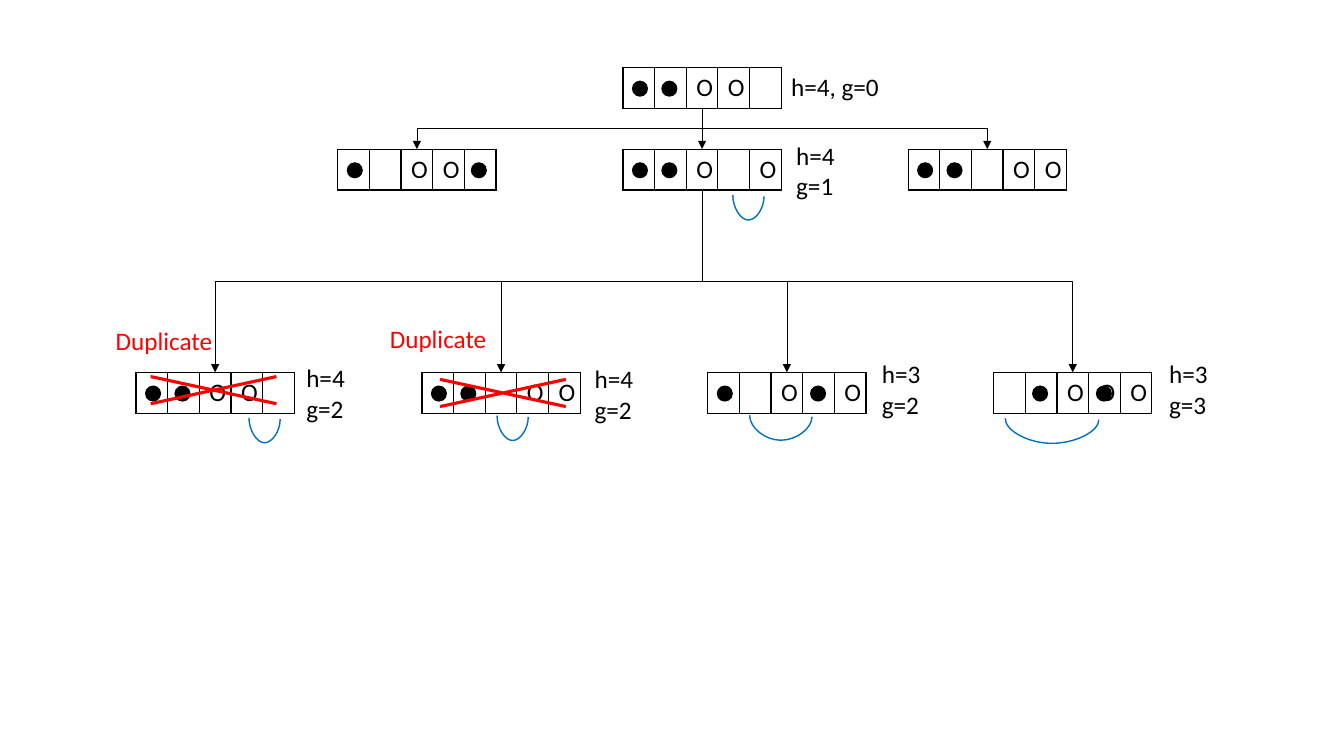
from dataclasses import dataclass

from lxml import etree
from pptx import Presentation
from pptx import util as u
from pptx.dml.color import RGBColor
from pptx.enum import shapes, text
from pptx.oxml.ns import qn

Pt = u.Pt


@dataclass(frozen=True)
class Theme:
    """Colours, type and line sizes of the slide."""
    ink: str = "000000"
    alert: str = "FF0000"
    jump: str = "0070C0"
    font: str = "Calibri"
    size: float = 18
    arrow: float = 0.5
    rule: float = 1


CELL_W, BOARD_H = 22.6, 29.2
BOARD_W = 5 * CELL_W
DOT_X, DOT_Y, DOT = (6.4, 27.4, 50, 73, 95), 9.4, 11.5
DOT_MARK, BOTH_MARK = "•", "@"  # a dot alone, a dot covering an O
LINE_H = 21.8


class Tree:
    """Draws the elements of a search tree on one slide."""

    def __init__(self, slide, theme):
        """Keep the slide and its style."""
        self.s, self.theme = slide, theme

    def paragraph(self, tf, line, color, first=True, align=None):
        """Add one paragraph holding one styled run."""
        p = tf.paragraphs[0] if first else tf.add_paragraph()
        p.alignment = align
        r = p.add_run()
        r.text = line
        r.font.name, r.font.size = self.theme.font, Pt(self.theme.size)
        r.font.color.rgb = RGBColor.from_string(color)

    def label(self, x, y, w, lines, color=None):
        """Add an unwrapped text box, one paragraph a line."""
        h = 7.3 + LINE_H * len(lines)
        tf = self.s.shapes.add_textbox(Pt(x), Pt(y), Pt(w), Pt(h)).text_frame
        tf.word_wrap = False
        tf.auto_size = text.MSO_AUTO_SIZE.SHAPE_TO_FIT_TEXT
        for i, line in enumerate(lines):
            self.paragraph(tf, line, color or self.theme.ink, i == 0)

    def shape(self, kind, x, y, w, h, color):
        """Add a filled preset shape without outline."""
        sp = self.s.shapes.add_shape(kind, Pt(x), Pt(y), Pt(w), Pt(h))
        sp.shadow.inherit = False
        sp.fill.solid()
        sp.fill.fore_color.rgb = RGBColor.from_string(color)
        sp.line.fill.background()
        return sp

    def border(self, cell):
        """Rule all four sides of a cell."""
        tc_pr = cell._tc.get_or_add_tcPr()
        for i, side in enumerate(("lnL", "lnR", "lnT", "lnB")):
            ln = etree.Element(qn(f"a:{side}"), w=str(int(Pt(self.theme.rule))))
            fill = etree.SubElement(ln, qn("a:solidFill"))
            etree.SubElement(fill, qn("a:srgbClr"), val=self.theme.ink)
            tc_pr.insert(i, ln)

    def board(self, x, y, marks):
        """Add a five-cell board and its dots."""
        table = self.s.shapes.add_table(
            1, len(marks), Pt(x), Pt(y), Pt(BOARD_W), Pt(BOARD_H)).table
        table.first_row = table.horz_banding = False
        for i, mark in enumerate(marks):
            table.columns[i].width = Pt(CELL_W)
            cell = table.cell(0, i)
            cell.fill.background()
            self.border(cell)
            if mark in ("O", BOTH_MARK):
                self.paragraph(cell.text_frame, "O", self.theme.ink,
                               align=text.PP_ALIGN.CENTER)
        for i, mark in enumerate(marks):
            if mark in (DOT_MARK, BOTH_MARK):
                self.shape(shapes.MSO_SHAPE.OVAL, x + DOT_X[i], y + DOT_Y,
                           DOT, DOT, self.theme.ink)

    def connector(self, kind, x, y, w, h, color, weight):
        """Add a plain connector across a box and return its properties."""
        c = self.s.shapes.add_connector(kind, Pt(x), Pt(y), Pt(x + w), Pt(y + h))
        c.line.color.rgb = RGBColor.from_string(color)
        c.line.width = Pt(weight)
        sp_pr = c.element.spPr
        etree.SubElement(sp_pr, qn("a:effectLst"))
        return sp_pr

    def downward(self, kind, x1, y1, x2, y2, color, weight):
        """Add a connector that leaves downwards, by turning it a quarter."""
        w, h = y2 - y1, abs(x2 - x1)
        sp_pr = self.connector(kind, (x1 + x2 - w) / 2, (y1 + y2 - h) / 2,
                               w, h, color, weight)
        xfrm = sp_pr.find(qn("a:xfrm"))
        xfrm.set("rot", "16200000" if x2 > x1 else "5400000")
        if x2 > x1:
            xfrm.set("flipH", "1")
        return sp_pr

    def arrow(self, x1, y1, x2, y2):
        """Add an arrow from a parent board to a child board."""
        style = self.theme.ink, self.theme.arrow
        if x1 == x2:
            sp_pr = self.connector(shapes.MSO_CONNECTOR.STRAIGHT,
                                   x1, y1, 0, y2 - y1, *style)
        else:
            sp_pr = self.downward(shapes.MSO_CONNECTOR.ELBOW,
                                  x1, y1, x2, y2, *style)
        etree.SubElement(sp_pr.find(qn("a:ln")), qn("a:tailEnd"), type="triangle")

    def jump(self, x, y, w):
        """Add a hanging arc that marks a move between two cells."""
        sp_pr = self.downward(shapes.MSO_CONNECTOR.CURVE, x, y, x + w, y + 1,
                              self.theme.jump, self.theme.rule)
        guides = sp_pr.find(qn("a:prstGeom")).find(qn("a:avLst"))
        etree.SubElement(guides, qn("a:gd"), name="adj1", fmla="val 1800000")

    def duplicate(self, x, y, label_x, label_y):
        """Cross out a board and name it a duplicate."""
        cross = self.shape(shapes.MSO_SHAPE.MATH_MULTIPLY, x, y, 172.8, 37.4,
                           self.theme.alert)
        cross.adjustments[0] = 0.06
        self.label(label_x, label_y, 84.2, ["Duplicate"], self.theme.alert)


def main():
    """Build the slide and save it."""
    prs = Presentation()
    prs.slide_width, prs.slide_height = Pt(960), Pt(540)
    tree = Tree(prs.slides.add_slide(prs.slide_layouts[6]), Theme())

    root_x, root_y, middle_y, leaf_y = 445, 48.2, 106.5, 266
    middle_pitch = 203.7
    center = root_x + BOARD_W / 2
    levels = [
        (["• OO•", "••O O", "•• OO"],
         [root_x + k * middle_pitch for k in (-1, 0, 1)], root_y, middle_y),
        (["••OO ", "•• OO", "• O•O", " •O@O"],
         [97.2 + k * 204.2 for k in range(4)], middle_y, leaf_y),
    ]

    tree.board(root_x, root_y, "••OO ")
    tree.label(558, 47.5, 77.8, ["h=4, g=0"])
    for boards, lefts, parent_y, y in levels:
        for marks, x in zip(boards, lefts):
            tree.board(x, y, marks)
            tree.arrow(center, parent_y + BOARD_H, x + BOARD_W / 2, y)

    for x, y, h, g in [(561.6, 96.5, 4, 1), (211.7, 255.6, 4, 2),
                       (417.6, 256.3, 4, 2), (622.8, 252.7, 3, 2),
                       (828, 252.7, 3, 3)]:
        tree.label(x, y, 42.5, [f"h={h}", f"g={g}"])
    for x, y, cells in [(523.4, 139.3, 1), (177.8, 298.4, 1), (355, 296.8, 1),
                        (535.4, 296.6, 2), (718, 298.8, 3)]:
        tree.jump(x, y, 22.3 * cells)
    tree.duplicate(66.2, 260, 75.6, 229)
    tree.duplicate(272.9, 262, 271.4, 227.5)
    prs.save("out.pptx")


main()
